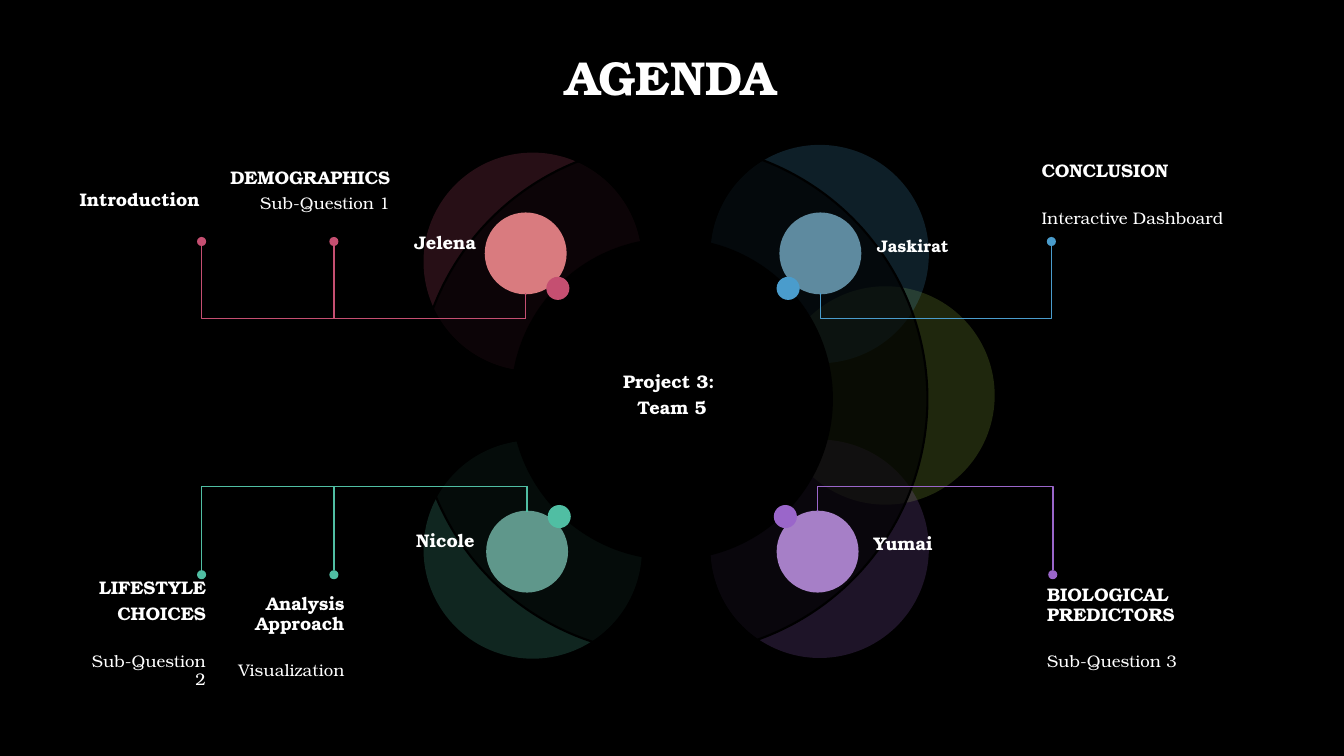
import pptx
import pptx.dml.color
import pptx.enum.shapes
import pptx.enum.text
import pptx.oxml.ns
import pptx.util
from lxml import etree

Pt = pptx.util.Pt
RGBColor = pptx.dml.color.RGBColor
ALIGN = pptx.enum.text.PP_ALIGN
MIDDLE = pptx.enum.text.MSO_ANCHOR.MIDDLE
qn = pptx.oxml.ns.qn

FONT = "TeX Gyre Bonum"
BLACK = RGBColor(0x00, 0x00, 0x00)
WHITE = RGBColor(0xFF, 0xFF, 0xFF)
LIME = RGBColor(0x9E, 0xC5, 0x44)
PURPLE = RGBColor(0x9A, 0x66, 0xCA)
BLUE = RGBColor(0x4A, 0x9C, 0xCC)
GREEN = RGBColor(0x50, 0xBE, 0xA3)
ROSE = RGBColor(0xC5, 0x4F, 0x71)
SOFT_PURPLE = RGBColor(0xA6, 0x7F, 0xC7)
SOFT_BLUE = RGBColor(0x5E, 0x8A, 0x9F)
SOFT_GREEN = RGBColor(0x5F, 0x97, 0x8B)
SOFT_ROSE = RGBColor(0xD9, 0x7B, 0x7F)

PETAL, FACE, ACCENT, STEM_DOT = 156, 57, 16.5, 6.5
BUS_GAP = 18
BREAK = 20
TIGHT = 4.5


def draw_disc(slide, center, diameter, color, alpha=100, outline=None):
    """Draw a filled circle around a centre point."""
    left, top = (c - diameter / 2 for c in center)
    disc = slide.shapes.add_shape(
        pptx.enum.shapes.MSO_SHAPE.OVAL, Pt(left), Pt(top), Pt(diameter), Pt(diameter))
    disc.shadow.inherit = False
    disc.fill.solid()
    disc.fill.fore_color.rgb = color
    if alpha < 100:
        tint = disc._element.spPr.find(qn("a:solidFill"))[0]
        etree.SubElement(tint, qn("a:alpha")).set("val", str(alpha * 1000))
    if outline is None:
        disc.line.fill.background()
    else:
        disc.line.color.rgb = outline
        disc.line.width = Pt(1.5)


def style_paragraph(paragraph, text, size, bold, align):
    """Fill one paragraph and give it the slide's type style."""
    paragraph.text = text
    paragraph.alignment = align
    paragraph.line_spacing = 0.9
    for run in paragraph.runs:
        run.font.name = FONT
        run.font.size = Pt(size)
        run.font.bold = bold
        run.font.color.rgb = WHITE


def draw_label(slide, box, lines, align, lift=0):
    """Write lines of (text, size, bold, space before) in a box, raised by half of lift."""
    frame = slide.shapes.add_textbox(*map(Pt, box)).text_frame
    frame.word_wrap = True
    frame.vertical_anchor = MIDDLE
    frame.margin_left = frame.margin_right = 0
    frame.margin_top, frame.margin_bottom = Pt(max(-lift, 0)), Pt(max(lift, 0))
    for index, (text, size, bold, gap) in enumerate(lines):
        paragraph = frame.add_paragraph() if index else frame.paragraphs[0]
        style_paragraph(paragraph, text, size, bold, align)
        paragraph.space_before = Pt(gap)
        paragraph.space_after = Pt(0)


def draw_stem(slide, begin, end, color):
    """Draw an elbow that leaves a face, runs along the bus and turns back to a dot."""
    (x1, y1), (x2, y2) = begin, end
    rise, reach = abs(y2 - y1), x2 - x1
    upward = y2 < y1
    mid_x, mid_y = (x1 + x2) / 2, (y1 + y2) / 2
    half = reach / 2 if upward else -reach / 2
    stem = slide.shapes.add_connector(
        pptx.enum.shapes.MSO_CONNECTOR.ELBOW, Pt(mid_x + rise / 2), Pt(mid_y + half),
        Pt(mid_x - rise / 2), Pt(mid_y - half))
    stem.line.color.rgb = color
    stem.line.width = Pt(1)
    properties = stem._element.spPr
    properties.find(qn("a:xfrm")).set("rot", str((90 if upward else 270) * 60000))
    guides = properties.find(qn("a:prstGeom")).find(qn("a:avLst"))
    bend = etree.SubElement(guides, qn("a:gd"))
    bend.set("name", "adj1")
    bend.set("fmla", f"val {round(-BUS_GAP / rise * 100000)}")
    etree.SubElement(properties, qn("a:effectLst"))


def draw_wheel(slide, box):
    """Draw the petals, the dark ring over them and the project name in the hub."""
    left, top, size, _ = box
    middle = (left + size / 2, top + size / 2)
    for color, x, y in [(LIME, 335, 180), (PURPLE, 288, 289.5), (BLUE, 288, 79),
                        (GREEN, 83, 290), (ROSE, 83, 84.5)]:
        draw_disc(slide, (left + x, top + y), PETAL, color, alpha=20)
    draw_disc(slide, middle, size, BLACK, alpha=68, outline=BLACK)
    draw_disc(slide, middle, 230, BLACK)
    draw_label(slide, (left + 130, top + 153, 105, 54),
               [("Project 3: ", 13, True, 0), ("Team 5", 13, True, TIGHT)], ALIGN.CENTER)


def draw_title(slide, box):
    """Place and format the slide title."""
    title = slide.shapes.title
    title.left, title.top, title.width, title.height = map(Pt, box)
    title.text_frame.vertical_anchor = MIDDLE
    style_paragraph(title.text_frame.paragraphs[0], "AGENDA", 34, True, ALIGN.CENTER)


def draw_topic(slide, box, on_left, on_top, color, face_color, stems, labels):
    """Draw one speaker's face, accent, stems and labels; the box spans dots and bus."""
    left, top, width, height = box
    side, toward = (1 if on_left else -1), (1 if on_top else -1)
    bus, dots = (top + height, top) if on_top else (top, top + height)
    face_x = left + width if on_left else left
    face_edge = bus - toward * BUS_GAP
    face_y = face_edge - toward * FACE / 2
    draw_disc(slide, (face_x, face_y), FACE, face_color, outline=face_color)
    draw_disc(slide, (face_x + side * 23, face_y + toward * 25), ACCENT, color)
    for offset in stems:
        dot_x = left + offset
        draw_disc(slide, (dot_x, dots), STEM_DOT, color)
        draw_stem(slide, (face_x, face_edge), (dot_x, dots + toward * STEM_DOT / 2), color)
    align = ALIGN.RIGHT if on_left else ALIGN.LEFT
    for (x, y, w, h), lift, lines in labels:
        draw_label(slide, (left + x, top + y, w, h), lines, align, lift)


def main():
    """Build the agenda slide."""
    deck = pptx.Presentation()
    deck.slide_width, deck.slide_height = Pt(960), Pt(540)
    slide = deck.slides.add_slide(deck.slide_layouts[5])
    slide.background.fill.solid()
    slide.background.fill.fore_color.rgb = BLACK
    draw_wheel(slide, (297.5, 102.5, 365, 365))
    draw_title(slide, (90, 4, 778, 107))
    draw_topic(slide, (144, 172.5, 231.5, 55), True, True, ROSE, SOFT_ROSE, (94.5, 0), [
        ((-93, -56, 96, 54), 0, [("Introduction ", 13, True, 0)]),
        ((12, -63, 122.5, 54), 0,
         [("DEMOGRAPHICS", 13, True, 0), ("Sub-Question 1", 12, False, TIGHT)]),
        ((111, -12.5, 85, 42.5), 15, [("Jelena", 13, True, 0)]),
    ])
    draw_topic(slide, (586, 172.5, 165, 55), False, True, BLUE, SOFT_BLUE, (165,), [
        ((158, -53.5, 130.5, 57.5), 17,
         [("CONCLUSION", 13, True, 0), ("Interactive Dashboard", 12, False, BREAK)]),
        ((40.5, -23.5, 117.5, 42.5), -12, [("Jaskirat", 12, True, 0)]),
    ])
    draw_topic(slide, (144, 347.5, 232.5, 63), True, False, GREEN, SOFT_GREEN, (94.5, 0), [
        ((102, 25.5, 93, 42.5), 15, [("Nicole", 13, True, 0)]),
        ((-82, 78.5, 85, 54), 0,
         [("LIFESTYLE", 13, True, 0), ("CHOICES", 13, True, TIGHT),
          ("Sub-Question 2", 12, False, BREAK)]),
        ((17, 81, 85, 54), 0,
         [("Analysis Approach", 13, True, 0), ("Visualization", 12, False, BREAK)]),
    ])
    draw_topic(slide, (584, 347.5, 168, 63), False, False, PURPLE, SOFT_PURPLE, (168,), [
        ((40, 20.5, 85, 42.5), 0, [("Yumai", 13, True, 0)]),
        ((164, 74.5, 121.5, 54), 0,
         [("BIOLOGICAL PREDICTORS", 13, True, 0), ("Sub-Question 3", 12, False, BREAK)]),
    ])
    deck.save("out.pptx")


if __name__ == "__main__":
    main()
